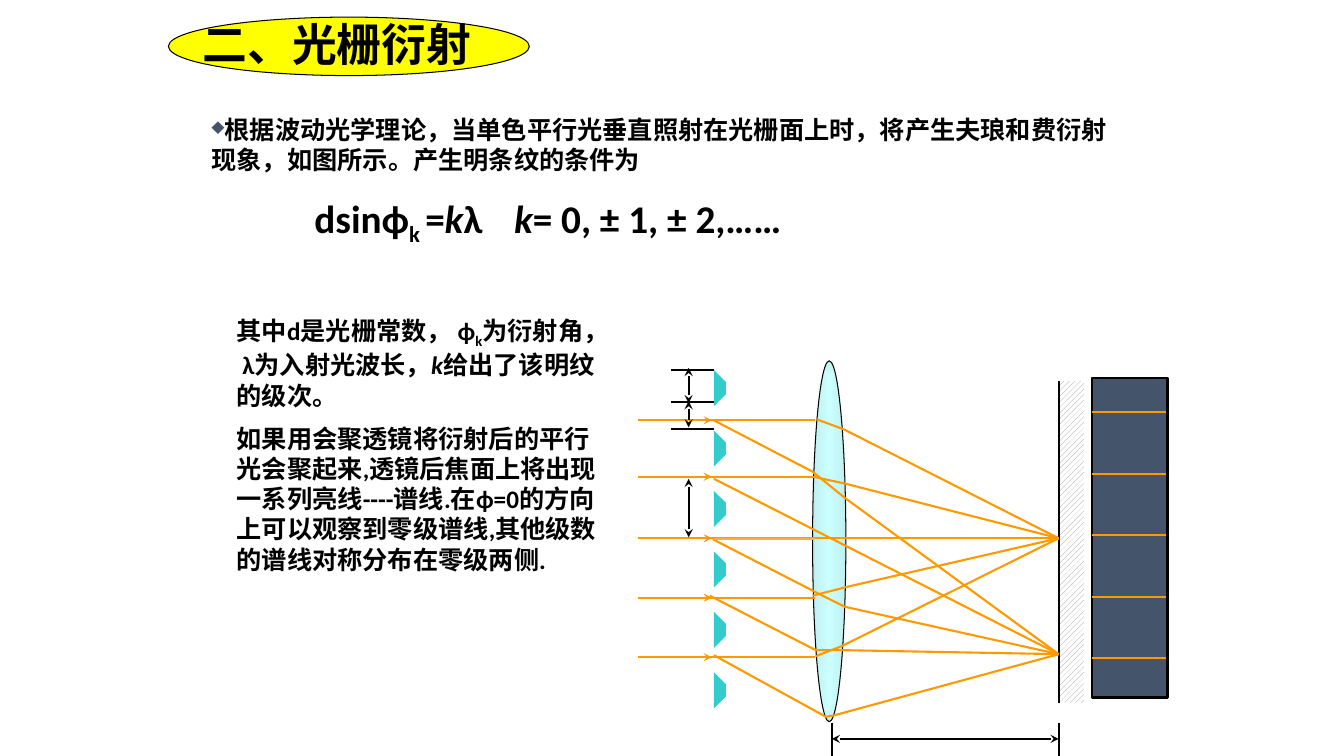
from dataclasses import dataclass

from lxml.etree import SubElement
from pptx import Presentation
from pptx.dml.color import RGBColor
from pptx.enum.dml import MSO_PATTERN
from pptx.enum.shapes import MSO_CONNECTOR, MSO_SHAPE
from pptx.enum.text import MSO_AUTO_SIZE
from pptx.oxml.ns import qn
from pptx.util import Inches, Pt


@dataclass(frozen=True)
class Theme:
    ink: str = "000000"
    badge: str = "FFFF00"
    slit: str = "33CCCC"
    lens_core: str = "CCFFFF"
    lens_rim: str = "BFEFEF"
    hatch: str = "969696"
    paper: str = "FFFFFF"
    ray: str = "FF9900"
    pale_ray: str = "FFAE37"
    slate: str = "44546A"
    title_font: str = "TeX Gyre Schola"
    body_font: str = "Calibri"
    title_size: int = 32
    formula_size: int = 28
    body_size: int = 18
    thin: float = 0.75
    stroke: float = 1.5


THEME = Theme()
ITALIC = {"italic": True}
SUBSCRIPT = {"baseline": "-25000"}


def rgb(color):
    return RGBColor.from_string(color)


def add_filled(slide, kind, box, color=None, outline=None):
    shape = slide.shapes.add_shape(kind, *map(Inches, box))
    shape.shadow.inherit = False
    if color:
        shape.fill.solid()
        shape.fill.fore_color.rgb = rgb(color)
    if outline:
        shape.line.color.rgb = rgb(THEME.ink)
        shape.line.width = Pt(outline)
    else:
        shape.line.fill.background()
    return shape


def add_line(slide, origin, start, end, color=THEME.ink, arrows=()):
    """Draw a line between points given from origin; arrows holds headEnd and/or tailEnd."""
    ends = [Inches(o + v) for point in (start, end) for o, v in zip(origin, point)]
    line = slide.shapes.add_connector(MSO_CONNECTOR.STRAIGHT, *ends)
    line.line.color.rgb = rgb(color)
    line.line.width = Pt(THEME.stroke)
    for arrow in arrows:
        SubElement(line.line._get_or_add_ln(), qn(f"a:{arrow}"), type="stealth")
    SubElement(line._element.spPr, qn("a:effectLst"))


def add_path(slide, origin, points, close=False):
    placed = [tuple(Inches(o + v) for o, v in zip(origin, point)) for point in points]
    builder = slide.shapes.build_freeform(*placed[0])
    builder.add_line_segments(placed[1:], close=close)
    path = builder.convert_to_shape()
    path.shadow.inherit = False
    return path


def add_text(slide, box, paragraphs, font, size):
    """Fill a text box; each paragraph is a list of (text, format) runs."""
    frame = slide.shapes.add_textbox(*map(Inches, box)).text_frame
    frame.word_wrap = True
    frame.auto_size = MSO_AUTO_SIZE.SHAPE_TO_FIT_TEXT
    for i, runs in enumerate(paragraphs):
        paragraph = frame.paragraphs[0] if i == 0 else frame.add_paragraph()
        for text, changes in runs:
            run = paragraph.add_run()
            run.text = text
            run.font.color.rgb = rgb(THEME.ink)
            values = {"name": font, "size": Pt(size), "bold": True, **changes}
            for key, value in values.items():
                if key == "baseline":
                    run._r.get_or_add_rPr().set(key, value)
                else:
                    setattr(run.font, key, value)
    return frame.paragraphs


def add_title(slide, box):
    left, top, width, height = box
    add_filled(slide, MSO_SHAPE.OVAL, box, THEME.badge, THEME.thin)
    add_text(slide, (left + 0.24, top - 0.05, width - 0.37, height + 0.05),
             [[("二、光栅衍射", {})]], THEME.title_font, THEME.title_size)


def add_condition(slide, box):
    """Bulleted statement followed by the formula for bright fringes."""
    large = {"size": Pt(THEME.formula_size)}
    formula = [("dsinϕ", {}), ("k ", SUBSCRIPT), ("=", {}), ("k", ITALIC),
               ("λ\t", {}), ("k", ITALIC), ("= 0, ± 1, ± 2,……", {})]
    statement, equation = add_text(slide, box, [
        [("根据波动光学理论，当单色平行光垂直照射在光栅面上时，将产生夫琅和费衍射现象，如图所示。"
          "产生明条纹的条件为", {})],
        [(text, {**large, **changes}) for text, changes in formula],
    ], THEME.body_font, THEME.body_size)
    bullet = statement._p.get_or_add_pPr()
    SubElement(SubElement(bullet, qn("a:buClr")), qn("a:srgbClr"), val=THEME.slate)
    SubElement(bullet, qn("a:buSzPct"), val="90000")
    SubElement(bullet, qn("a:buChar"), char="♦")
    equation.space_before = Pt(THEME.formula_size / 2)
    layout = equation._p.get_or_add_pPr()
    layout.set("marL", "0")
    layout.set("indent", str(Inches(1.02)))
    SubElement(SubElement(layout, qn("a:tabLst")), qn("a:tab"),
               pos=str(Inches(3.16)), algn="l")


def add_explanation(slide, box):
    _, focusing = add_text(slide, box, [
        [("其中d是光栅常数， ϕ", {}), ("k", SUBSCRIPT), ("为衍射角， λ为入射光波长，", {}),
         ("k", ITALIC), ("给出了该明纹的级次。", {})],
        [("如果用会聚透镜将衍射后的平行光会聚起来,透镜后焦面上将出现一系列亮线----谱线."
          "在ϕ=0的方向上可以观察到零级谱线,其他级数的谱线对称分布在零级两侧.", {})],
    ], THEME.body_font, THEME.body_size)
    focusing.space_before = Pt(THEME.body_size / 2)


def add_optics(slide, origin):
    """Slits, lens and screen, placed from the top left corner of the diagram."""
    left, top = origin
    for i in range(6):
        y = 0.09 + 0.6 * i
        slit = add_path(slide, origin, [(0.75, y), (0.75, y + 0.36), (0.87, y + 0.24),
                                        (0.87, y + 0.12)], close=True)
        slit.fill.solid()
        slit.fill.fore_color.rgb = rgb(THEME.slit)
        slit.line.fill.background()

    lens = add_filled(slide, MSO_SHAPE.OVAL, (left + 1.73, top, 0.33, 3.58), outline=THEME.thin)
    lens.fill.gradient()
    for stop, color in zip(lens.fill.gradient_stops, (THEME.lens_core, THEME.lens_rim)):
        stop.color.rgb = rgb(color)
    gradient = lens._element.spPr.find(qn("a:gradFill"))
    gradient.remove(gradient.find(qn("a:lin")))
    SubElement(SubElement(gradient, qn("a:path"), path="shape"), qn("a:fillToRect"),
               l="50000", t="50000", r="50000", b="50000")

    screen = add_filled(slide, MSO_SHAPE.RECTANGLE, (left + 4.17, top + 0.2, 0.25, 3.19))
    screen.fill.patterned()
    screen.fill.pattern = MSO_PATTERN.WIDE_UPWARD_DIAGONAL
    screen.fill.fore_color.rgb = rgb(THEME.hatch)
    screen.fill.back_color.rgb = rgb(THEME.paper)
    add_line(slide, origin, (4.17, 0.2), (4.17, 3.39))


def add_rays(slide, origin):
    zero_focus, first_focus = (4.17, 1.76), (4.17, 2.91)
    bends = {
        zero_focus: [[(1.77, 0.58), (2.04, 0.68)], [(1.74, 1.15), (2.06, 1.22)],
                     [(1.73, 2.33), (2.08, 2.24)], [(1.76, 2.93), (2.02, 2.83)]],
        first_focus: [[(0.75, 0.59), (1.73, 1.1), (2.05, 1.36)], [(0.75, 1.17)],
                      [(0.74, 1.77), (1.73, 2.28), (2.05, 2.44)],
                      [(0.71, 2.33), (1.76, 2.87), (2.01, 2.87)],
                      [(0.75, 2.92), (1.86, 3.53), (1.93, 3.52)]],
    }
    for focus, rays in bends.items():
        for points in rays:
            ray = add_path(slide, origin, [*points, focus])
            ray.fill.background()
            ray.line.color.rgb = rgb(THEME.ray)
            ray.line.width = Pt(THEME.stroke)
    for y in (0.59, 1.15, 1.76, 2.35, 2.94):
        reach = 4.17 if y == zero_focus[1] else 1.75
        add_line(slide, origin, (0, y), (reach, y), THEME.ray)
        add_line(slide, origin, (0.31, y), (0.73, y), THEME.ray, ["tailEnd"])
    add_line(slide, origin, (0.75, 1.77), (1.75, 1.77), THEME.pale_ray)


def add_dimensions(slide, origin):
    both = ("headEnd", "tailEnd")
    for y in (0.09, 0.41, 0.68):
        add_line(slide, origin, (0.75, y), (0.33, y))
    for start, end in ((0.07, 0.42), (0.4, 0.66), (1.17, 1.75)):
        add_line(slide, origin, (0.5, start), (0.5, end), arrows=both)
    for x in (1.92, 4.17):
        add_line(slide, origin, (x, 3.59), (x, 3.92))
    add_line(slide, origin, (1.92, 3.75), (4.17, 3.75), arrows=both)


def add_spectrum(slide, box):
    add_filled(slide, MSO_SHAPE.RECTANGLE, box, THEME.slate, THEME.stroke)
    for i in range(5):
        y = 0.34 + 0.61 * i
        add_line(slide, box[:2], (0, y), (box[2] - 0.02, y), THEME.ray)


def main():
    deck = Presentation()
    deck.slide_width, deck.slide_height = Inches(13.33), Inches(7.5)
    slide = deck.slides.add_slide(deck.slide_layouts[6])
    add_title(slide, (1.67, 0.17, 3.58, 0.58))
    for add_part in (add_optics, add_rays, add_dimensions):
        add_part(slide, (6.33, 3.58))
    add_condition(slide, (2, 1.08, 9.08, 1.41))
    add_spectrum(slide, (10.83, 3.75, 0.75, 3.17))
    add_explanation(slide, (2.25, 3.08, 3.83, 2.68))
    deck.save("out.pptx")


if __name__ == "__main__":
    main()
